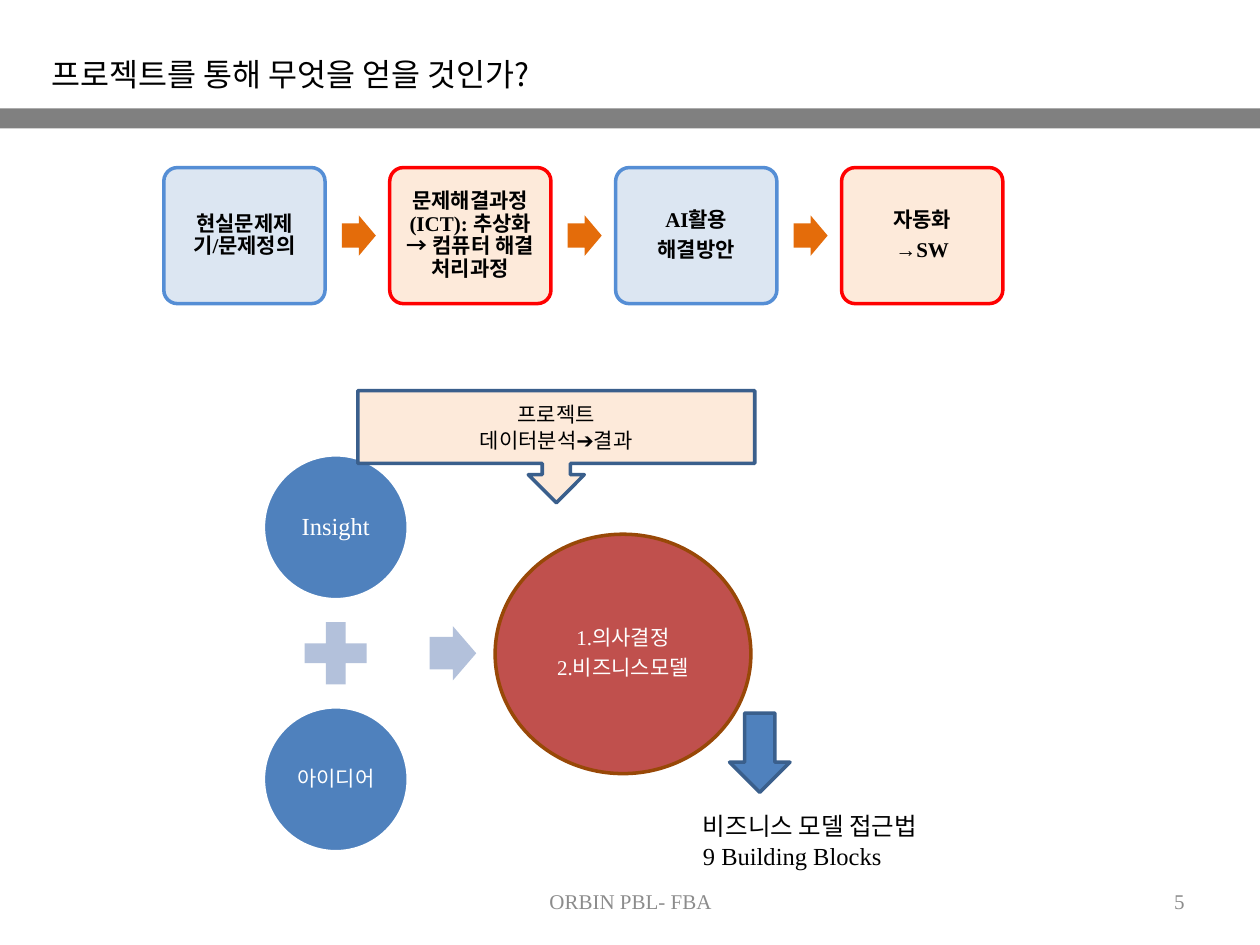
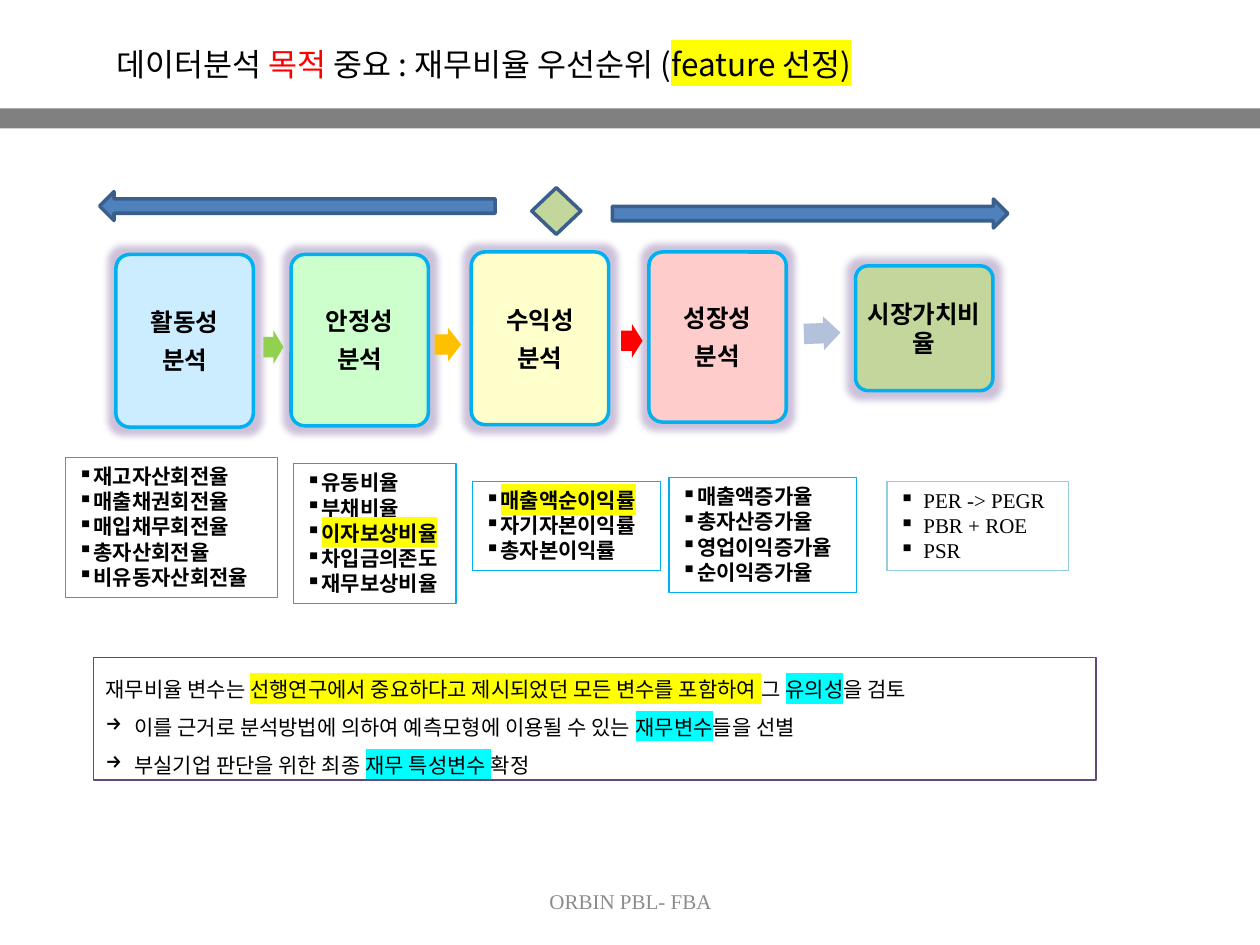
from dataclasses import dataclass
from typing import NamedTuple, Optional, Sequence, Union

from lxml import etree
from pptx import Presentation
from pptx import util as u
from pptx.dml.color import RGBColor
from pptx.enum import shapes, text
from pptx.oxml import ns

# Shared look
SERIF = "Times New Roman"
SANS = "Noto Sans CJK KR"
BLACK = RGBColor(0x00, 0x00, 0x00)
WHITE = RGBColor(0xFF, 0xFF, 0xFF)
GRAY = RGBColor(0x80, 0x80, 0x80)
FOOTER_GRAY = RGBColor(0x8C, 0x8C, 0x8C)
RED = RGBColor(0xFF, 0x00, 0x00)
BRICK = RGBColor(0xC0, 0x50, 0x4D)
BROWN = RGBColor(0x98, 0x48, 0x07)
BLUE = RGBColor(0x4F, 0x81, 0xBD)
DARK_BLUE = RGBColor(0x3A, 0x5F, 0x8C)
MID_BLUE = RGBColor(0x55, 0x8E, 0xD5)
PALE_BLUE = RGBColor(0xDC, 0xE6, 0xF2)
MIST = RGBColor(0xB3, 0xC1, 0xDB)
PEACH = RGBColor(0xFD, 0xEA, 0xDA)
ORANGE = RGBColor(0xE4, 0x6C, 0x0A)
AMBER = RGBColor(0xFF, 0xC0, 0x00)
GREEN = RGBColor(0x92, 0xD0, 0x50)
OLIVE = RGBColor(0xC3, 0xD6, 0x9B)
SKY = RGBColor(0xCC, 0xEC, 0xFF)
MINT = RGBColor(0xCC, 0xFF, 0xCC)
CREAM = RGBColor(0xFF, 0xFF, 0xCC)
PINK = RGBColor(0xFF, 0xCC, 0xCC)
CYAN_LINE = RGBColor(0x00, 0xB0, 0xF0)
AQUA_LINE = RGBColor(0x93, 0xCD, 0xDD)
PURPLE_LINE = RGBColor(0x60, 0x4A, 0x7B)
GLOW = RGBColor(0x80, 0x64, 0xA2)
YELLOW_MARK = RGBColor(0xFF, 0xFF, 0x00)
CYAN_MARK = RGBColor(0x00, 0xFF, 0xFF)

Kind = shapes.MSO_SHAPE
LEFT, CENTER, RIGHT = text.PP_ALIGN.LEFT, text.PP_ALIGN.CENTER, text.PP_ALIGN.RIGHT
TOP, MIDDLE = text.MSO_ANCHOR.TOP, text.MSO_ANCHOR.MIDDLE


class Box(NamedTuple):
    left: float
    top: float
    width: float
    height: float


class Run(NamedTuple):
    words: str
    mark: Optional[RGBColor] = None
    color: Optional[RGBColor] = None


class Line(NamedTuple):
    runs: Sequence[Union[str, Run]]
    bullet: str = ""
    hanging: float = 0


@dataclass(frozen=True)
class Style:
    size: float = 12
    font: str = SERIF
    color: RGBColor = BLACK
    bold: bool = False
    align: text.PP_ALIGN = LEFT
    anchor: text.MSO_ANCHOR = TOP
    spacing: Optional[float] = None
    after: float = 0
    inset: Optional[float] = None


@dataclass(frozen=True)
class RatioColumn:
    name: Sequence[str]
    fill: RGBColor
    card: Box
    ratios: Sequence[Union[str, Run]]
    ratio_box: Box


@dataclass(frozen=True)
class FlowArrow:
    box: Box
    fill: RGBColor
    angle: float = 0


TITLE = Style(18, SANS)
FOOTER = Style(color=FOOTER_GRAY, align=CENTER, anchor=MIDDLE)
PAGE_NUMBER = Style(color=FOOTER_GRAY, align=RIGHT, anchor=MIDDLE)
STEP = Style(bold=True, align=CENTER, anchor=MIDDLE, spacing=0.9, after=4.2, inset=0.05)
CIRCLE = Style(color=WHITE, align=CENTER, anchor=MIDDLE, spacing=0.9, after=4.2, inset=0.02)
BIG_CIRCLE = Style(14, color=WHITE, align=CENTER, anchor=MIDDLE, spacing=0.9, after=4.9, inset=0.02)
CARD = Style(14, SANS, bold=True, align=CENTER, anchor=MIDDLE, after=4.9, inset=0.06)
RATIO = Style(font=SANS, bold=True)


def hex_child(parent, tag: str, color: RGBColor, **attributes: str):
    """Add an effect or mark element that holds one colour."""
    holder = etree.SubElement(parent, ns.qn(tag), **attributes)
    return etree.SubElement(holder, ns.qn("a:srgbClr"), val=str(color))


def write(shape, lines: Sequence[Union[str, Line]], style: Style) -> None:
    frame = shape.text_frame
    frame.word_wrap = True
    frame.vertical_anchor = style.anchor
    if style.inset is not None:
        inset = u.Inches(style.inset)
        frame.margin_left = frame.margin_right = inset
        frame.margin_top = frame.margin_bottom = inset
    for index, line in enumerate(lines):
        if isinstance(line, str):
            line = Line([line])
        paragraph = frame.add_paragraph() if index else frame.paragraphs[0]
        paragraph.alignment = style.align
        paragraph.space_after = u.Pt(style.after)
        if style.spacing:
            paragraph.line_spacing = style.spacing
        if line.bullet:
            properties = paragraph._p.get_or_add_pPr()
            hanging = u.Inches(line.hanging)
            properties.set("marL", str(hanging))
            properties.set("indent", str(-hanging))
            etree.SubElement(properties, ns.qn("a:buChar"), char=line.bullet)
        font = paragraph.font
        font.size, font.bold, font.name = u.Pt(style.size), style.bold, style.font
        font.color.rgb = style.color
        etree.SubElement(font._element, ns.qn("a:ea"), typeface=SANS)
        for part in line.runs:
            part = Run(part) if isinstance(part, str) else part
            run = paragraph.add_run()
            run.text = part.words
            if part.color is not None:
                run.font.color.rgb = part.color
            if part.mark is not None:
                hex_child(run._r.get_or_add_rPr(), "a:highlight", part.mark)


def add_text(slide, box: Box, lines: Sequence[Union[str, Line]], style: Style) -> None:
    write(slide.shapes.add_textbox(*map(u.Inches, box)), lines, style)


def add_shape(slide, kind: shapes.MSO_SHAPE, box: Box, fill: Optional[RGBColor] = None,
              line: Optional[RGBColor] = None, width: float = 2,
              adjust: Sequence[float] = (), angle: float = 0):
    shape = slide.shapes.add_shape(kind, *map(u.Inches, box))
    shape.shadow.inherit = False
    shape.rotation = angle
    for index, value in enumerate(adjust):
        shape.adjustments[index] = value
    if fill is None:
        shape.fill.background()
    else:
        shape.fill.solid()
        shape.fill.fore_color.rgb = fill
    if line is None:
        shape.line.fill.background()
    else:
        shape.line.color.rgb = line
        shape.line.width = u.Pt(width)
    return shape


def add_flow_arrow(slide, arrow: FlowArrow) -> None:
    add_shape(slide, Kind.RIGHT_ARROW, arrow.box, arrow.fill,
              adjust=(0.6, 0.5), angle=arrow.angle)


def add_list(slide, box: Box, lines: Sequence[Line], style: Style, border: RGBColor) -> None:
    write(add_shape(slide, Kind.RECTANGLE, box, line=border, width=0.75), lines, style)


def start_slide(deck, title: Sequence[Union[str, Run]], title_box: Box):
    """Blank slide with the band, title and footer."""
    slide = deck.slides.add_slide(deck.slide_layouts[6])
    add_shape(slide, Kind.RECTANGLE, Box(0, 0.86, 10, 0.16), GRAY)
    add_text(slide, title_box, [Line(title)], TITLE)
    add_text(slide, Box(3.42, 6.95, 3.17, 0.4), ["ORBIN PBL- FBA"], FOOTER)
    return slide


def build_outcomes(deck) -> None:
    slide = start_slide(deck, ["프로젝트를 통해 무엇을 얻을 것인가?"], Box(0.31, 0.39, 4.34, 0.4))
    add_text(slide, Box(7.17, 6.95, 2.33, 0.4), ["5"], PAGE_NUMBER)

    # Four process steps with arrows between them
    steps = (["현실문제제기/문제정의"], ["문제해결과정(ICT): 추상화→ 컴퓨터 해결 처리과정"],
             ["AI활용", "해결방안"], ["자동화", "→SW"])
    looks = ((PALE_BLUE, MID_BLUE), (PEACH, RED))
    pitch = 1.793
    for index, step in enumerate(steps):
        left = 1.3 + index * pitch
        fill, border = looks[index % 2]
        card = add_shape(slide, Kind.ROUNDED_RECTANGLE, Box(left, 1.33, 1.28, 1.08),
                         fill, border, adjust=(0.1,))
        write(card, step, STEP)
        if index:
            add_flow_arrow(slide, FlowArrow(Box(left - 0.38, 1.71, 0.27, 0.32), ORANGE))

    # Insight plus idea leads to decisions and a business model
    for top, label, style in ((3.61, "Insight", BIG_CIRCLE), (5.61, "아이디어", CIRCLE)):
        circle = add_shape(slide, Kind.OVAL, Box(2.09, top, 1.15, 1.15), BLUE, WHITE)
        write(circle, [label], style)
    add_shape(slide, Kind.MATH_PLUS, Box(2.33, 4.85, 0.67, 0.67), MIST)
    add_flow_arrow(slide, FlowArrow(Box(3.41, 4.97, 0.37, 0.43), MIST))
    decision = add_shape(slide, Kind.OVAL, Box(3.93, 4.24, 2.03, 1.9), BRICK, BROWN)
    write(decision, ["1.의사결정", "2.비즈니스모델"], CIRCLE)

    # Project callout and the resulting approach
    add_shape(slide, Kind.DOWN_ARROW, Box(5.79, 5.66, 0.48, 0.63), BLUE, DARK_BLUE)
    project = add_shape(slide, Kind.DOWN_ARROW_CALLOUT, Box(2.84, 3.1, 3.15, 0.89),
                        PEACH, DARK_BLUE)
    write(project, ["프로젝트", "데이터분석➔결과"], Style(align=CENTER, anchor=MIDDLE))
    add_text(slide, Box(5.48, 6.39, 2.48, 0.57),
             ["비즈니스 모델 접근법", "9 Building Blocks"], Style(14))


RATIO_COLUMNS = (
    RatioColumn(("활동성", "분석"), SKY, Box(0.92, 2.02, 1.09, 1.37),
                ("재고자산회전율", "매출채권회전율", "매입채무회전율", "총자산회전율", "비유동자산회전율"),
                Box(0.52, 3.63, 1.68, 1.11)),
    RatioColumn(("안정성", "분석"), MINT, Box(2.31, 2.02, 1.09, 1.36),
                ("유동비율", "부채비율", Run("이자보상비율", YELLOW_MARK), "차입금의존도", "재무보상비율"),
                Box(2.33, 3.68, 1.29, 1.11)),
    RatioColumn(("수익성", "분석"), CREAM, Box(3.74, 2, 1.09, 1.37),
                (Run("매출액순이익률", YELLOW_MARK), "자기자본이익률", "총자본이익률"),
                Box(3.75, 3.82, 1.49, 0.71)),
    RatioColumn(("성장성", "분석"), PINK, Box(5.15, 2, 1.09, 1.35),
                ("매출액증가율", "총자산증가율", "영업이익증가율", "순이익증가율"),
                Box(5.31, 3.79, 1.49, 0.91)),
    RatioColumn(("시장가치비율",), OLIVE, Box(6.79, 2.11, 1.09, 0.99),
                ("PER -> PEGR", "PBR + ROE", "PSR"), Box(7.04, 3.82, 1.44, 0.71)),
)
RATIO_ARROWS = (
    FlowArrow(Box(2.09, 2.62, 0.16, 0.27), GREEN),
    FlowArrow(Box(3.45, 2.6, 0.21, 0.27), AMBER),
    FlowArrow(Box(4.93, 2.57, 0.17, 0.27), RED),
    FlowArrow(Box(6.38, 2.51, 0.29, 0.27), MIST, 357.8),
)


def build_ratios(deck) -> None:
    title = ["데이터분석", Run(" 목적", color=RED), " 중요 : 재무비율 우선순위 (",
             Run("feature 선정)", YELLOW_MARK)]
    slide = start_slide(deck, title, Box(0.83, 0.31, 6.54, 0.4))

    # Glowing ratio cards, each above its list
    for column in RATIO_COLUMNS:
        card = add_shape(slide, Kind.ROUNDED_RECTANGLE, column.card, column.fill,
                         CYAN_LINE, adjust=(0.1,))
        effects = card._element.spPr.find(ns.qn("a:effectLst"))
        glow = hex_child(effects, "a:glow", GLOW, rad=str(u.Pt(8)))
        etree.SubElement(glow, ns.qn("a:alpha"), val="40000")
        write(card, column.name, CARD)
        market = column is RATIO_COLUMNS[-1]
        lines = [Line([ratio], "▪", 0.19 if market else 0) for ratio in column.ratios]
        add_list(slide, column.ratio_box, lines, Style() if market else RATIO,
                 AQUA_LINE if market else CYAN_LINE)
    for arrow in RATIO_ARROWS:
        add_flow_arrow(slide, arrow)

    # Priority axis
    for left, top, angle in ((4.86, 1.58, 0), (0.79, 1.52, 180)):
        add_shape(slide, Kind.RIGHT_ARROW, Box(left, top, 3.14, 0.23), BLUE, DARK_BLUE, angle=angle)
    add_shape(slide, Kind.DIAMOND, Box(4.22, 1.49, 0.39, 0.37), OLIVE, DARK_BLUE)

    # Variable selection summary
    summary = [
        Line(["재무비율 변수는 ",
              Run("선행연구에서 중요하다고 제시되었던 모든 변수를 포함하여 ", YELLOW_MARK),
              "그 ", Run("유의성", CYAN_MARK), "을 검토"]),
        Line([" 이를 근거로 분석방법에 의하여 예측모형에 이용될 수 있는 ",
              Run("재무변수", CYAN_MARK), "들을 선별"], "→", 0.19),
        Line([" 부실기업 판단을 위한 최종 ", Run("재무 특성변수 ", CYAN_MARK), "확정"], "→", 0.19),
    ]
    add_list(slide, Box(0.74, 5.22, 7.96, 0.97), summary, Style(spacing=1.5), PURPLE_LINE)


def main() -> None:
    deck = Presentation()
    deck.slide_width, deck.slide_height = u.Inches(10), u.Inches(7.5)
    build_outcomes(deck)
    build_ratios(deck)
    deck.save("out.pptx")


if __name__ == "__main__":
    main()
